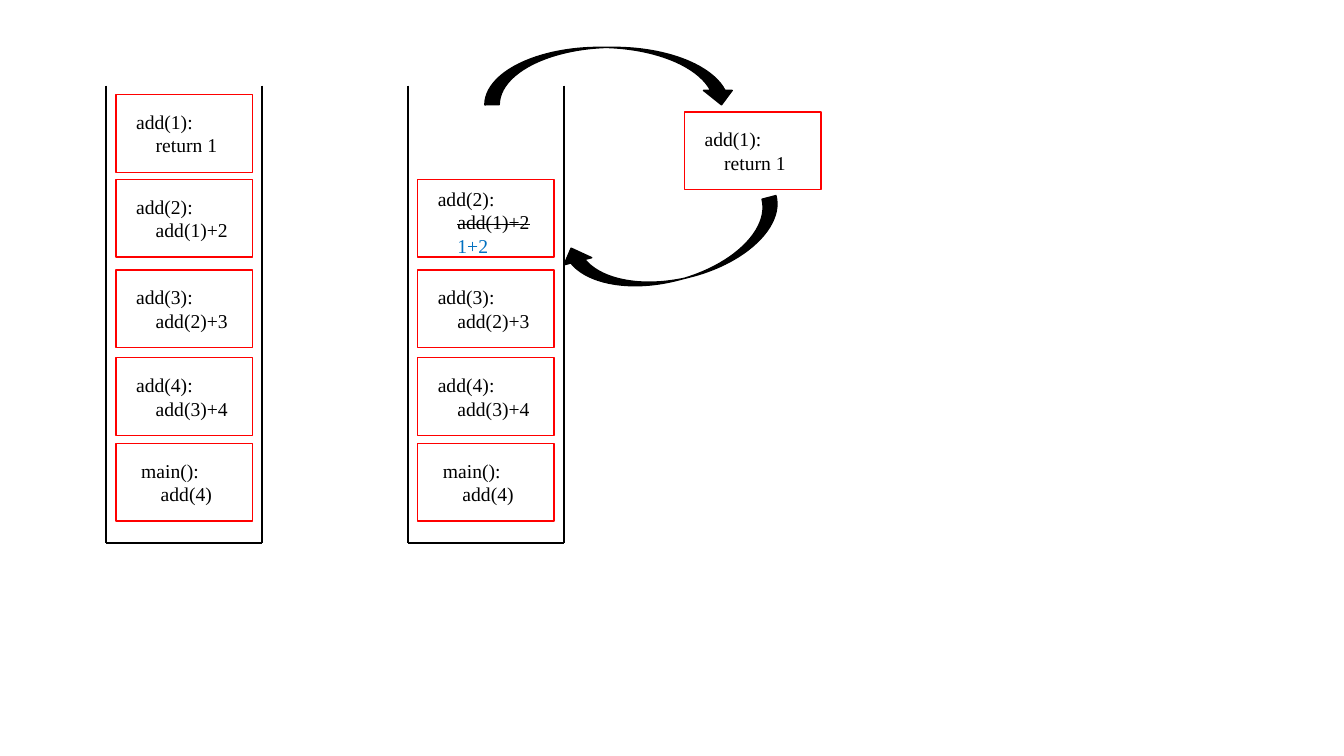
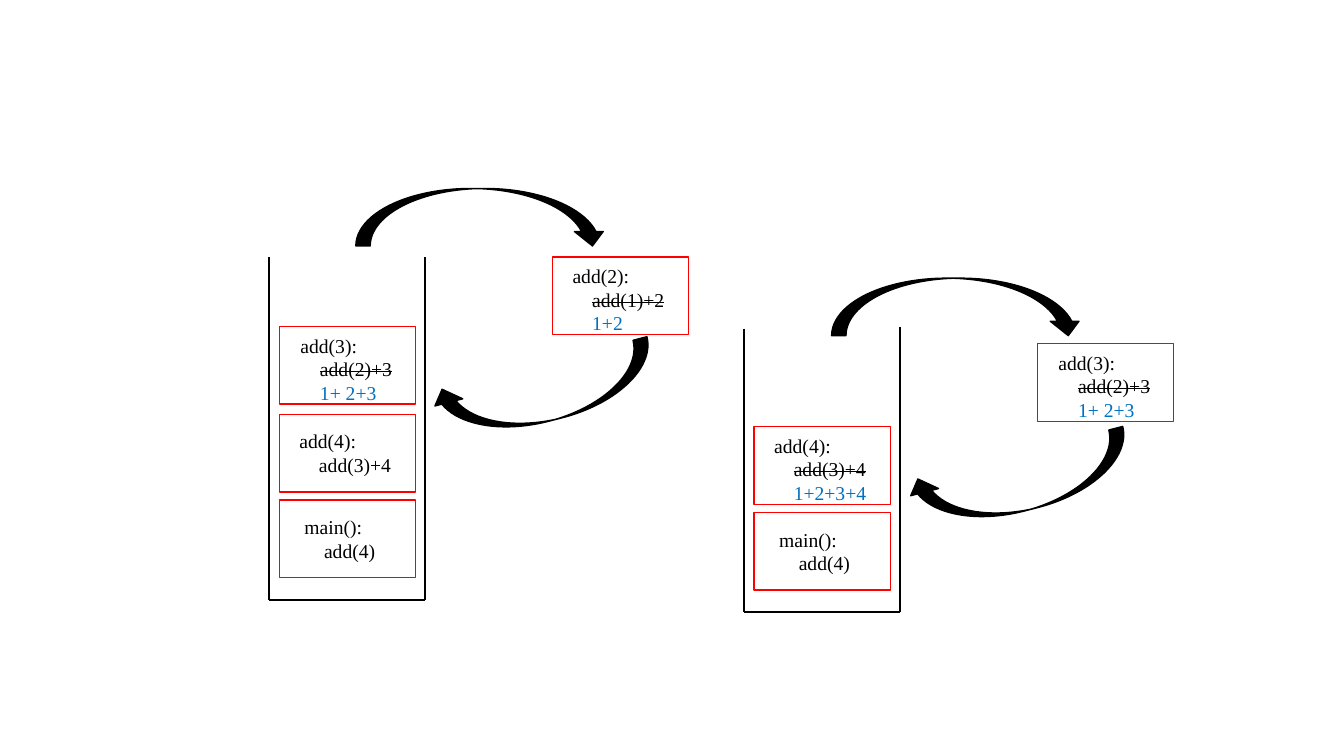
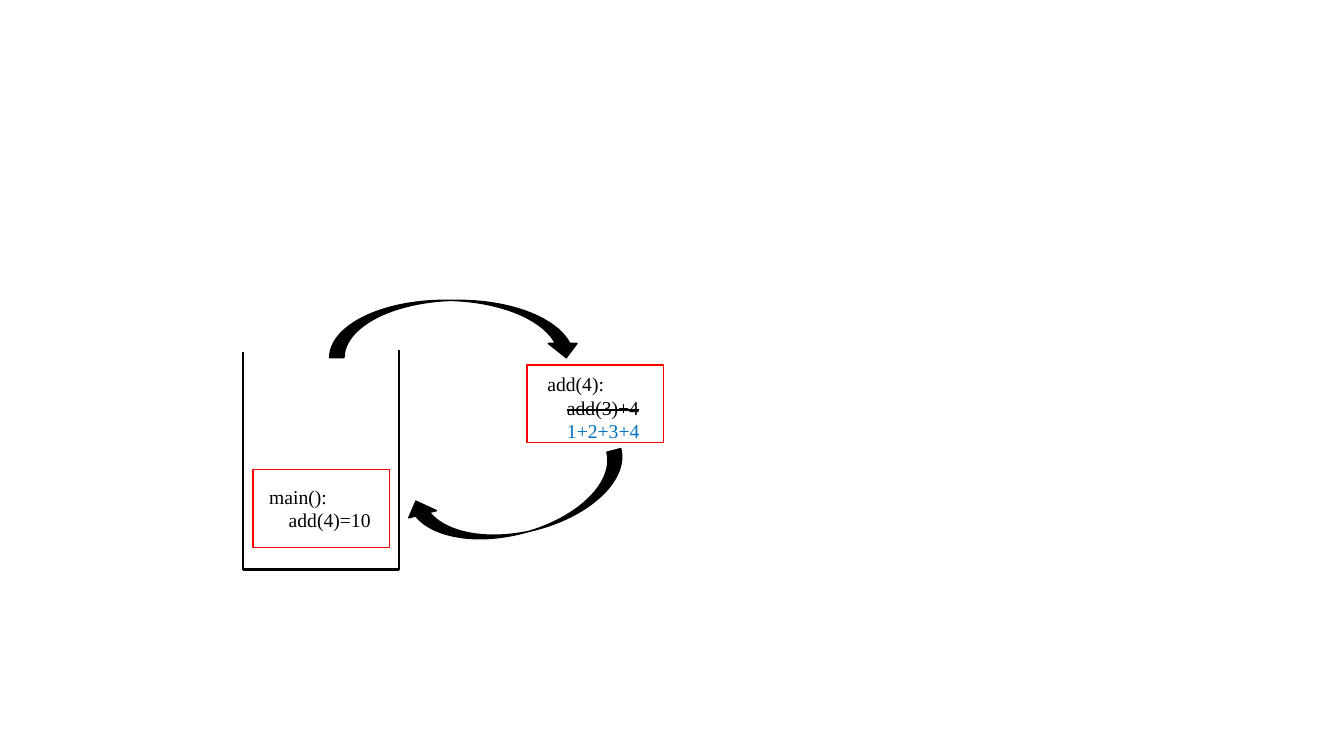
from lxml import etree
from pptx import Presentation
from pptx import util as u
from pptx.dml.color import RGBColor
from pptx.enum import shapes, text
from pptx.oxml.ns import qn

COLOURS = {"ink": "000000", "frame": "FF0000", "value": "0070C0"}
FONT, FONT_SIZE = "Times New Roman", 14

# The slide is a grid of 40 columns by 22.5 rows of square cells
SLIDE_W, SLIDE_H = u.Inches(13.333), u.Inches(7.5)
CELL = SLIDE_H / 22.5

# Sizes in cells
STACK_W, STACK_PAD = 4.65, 0.3
FRAME_W, FRAME_H = 4.06, 2.31
LEVELS = (2.97, 5.52, 8.13, 10.83, 13.35)  # frame tops above the stack floor
ARROW_H, POP_W, RETURN_W = 1.71, 7.47, 6.72
RETURN_DX, RETURN_DY, RETURN_TURN = 2.26, 5.22, 165.6

# Calls: name, body and, once the inner call has returned, the value
MAIN = ("main():", "add(4)", None)
MAIN_DONE = ("main():", "add(4)=10", None)
ADD_1 = ("add(1):", "return 1", None)
ADD_2 = ("add(2):", "add(1)+2", None)
ADD_3 = ("add(3):", "add(2)+3", None)
ADD_4 = ("add(4):", "add(3)+4", None)
ADD_2_DONE = ("add(2):", "add(1)+2", "1+2")
ADD_3_DONE = ("add(3):", "add(2)+3", "1+ 2+3")
ADD_4_DONE = ("add(4):", "add(3)+4", "1+2+3+4")
TEXT_LEFT = {MAIN: 0.75, MAIN_DONE: 0.48, ADD_3_DONE: 0.63}  # otherwise 0.6


def cells(*counts):
    return [u.Emu(round(n * CELL)) for n in counts]


def colour(name):
    return RGBColor.from_string(COLOURS[name])


def add_run(paragraph, words, ink="ink", struck=False):
    run = paragraph.add_run()
    run.text = words
    run.font.name, run.font.size = FONT, u.Pt(FONT_SIZE)
    run.font.color.rgb = colour(ink)
    if struck:
        run.font._element.set("strike", "sngStrike")


def add_outlined(slide, preset, left, top, width, height, line):
    shape = slide.shapes.add_shape(preset, *cells(left, top, width, height))
    shape.shadow.inherit = False
    shape.line.color.rgb = colour(line)
    shape.line.width = u.Pt(1)
    return shape


def add_frame(slide, left, top, call):
    """A call frame, with its old body struck out when a value replaces it."""
    name, body, value = call
    frame = add_outlined(slide, shapes.MSO_SHAPE.RECTANGLE,
                         left, top, FRAME_W, FRAME_H, "frame")
    frame.fill.background()
    code = frame.text_frame
    code.word_wrap = True
    code.vertical_anchor = text.MSO_ANCHOR.TOP
    code.margin_left, code.margin_top, code.margin_right, code.margin_bottom = cells(
        TEXT_LEFT.get(call, 0.6), 0.21 if value else 0.45, 0, 0)

    add_run(code.paragraphs[0], name)
    code.paragraphs[0].alignment = text.PP_ALIGN.LEFT
    inner = [(body, "ink", bool(value))]
    if value:
        inner.append((value, "value", False))
    for words, ink, struck in inner:
        line = code.add_paragraph()
        line.alignment = text.PP_ALIGN.LEFT
        line._p.get_or_add_pPr().set("marL", str(u.Pt(FONT_SIZE)))
        add_run(line, words, ink, struck)


def add_wall(slide, *ends):
    wall = slide.shapes.add_connector(shapes.MSO_CONNECTOR.STRAIGHT, *cells(*ends))
    wall.line.color.rgb = colour("ink")
    wall.line.width = u.Pt(1.5)
    etree.SubElement(wall._element.spPr, qn("a:effectLst"))


def add_stack(slide, left, rim, floor, calls, right_rim=None):
    """An open-topped stack holding the calls, lowest first."""
    right = left + STACK_W
    add_wall(slide, left, rim, left, floor)
    add_wall(slide, left, floor, right, floor)
    add_wall(slide, right, right_rim or rim, right, floor)
    for level, call in zip(LEVELS, calls):
        add_frame(slide, left + STACK_PAD, floor - level, call)


def add_arrow(slide, left, top, width, turn=0):
    arrow = add_outlined(slide, shapes.MSO_SHAPE.CURVED_DOWN_ARROW,
                         left, top, width, ARROW_H, "ink")
    arrow.fill.solid()
    arrow.fill.fore_color.rgb = colour("ink")
    arrow.rotation = turn


def add_pop(slide, arrow_at, frame_at, call):
    """The popped frame, with the arrows out to it and back to the stack."""
    left, top = arrow_at
    add_frame(slide, *frame_at, call)
    add_arrow(slide, left, top, POP_W)
    add_arrow(slide, left + RETURN_DX, top + RETURN_DY, RETURN_W, RETURN_TURN)


def main():
    deck = Presentation()
    deck.slide_width, deck.slide_height = SLIDE_W, SLIDE_H
    blank = deck.slide_layouts[6]

    # Full stack, then add(1) returns
    slide = deck.slides.add_slide(blank)
    add_stack(slide, 3.15, 2.55, 16.17, [MAIN, ADD_4, ADD_3, ADD_2, ADD_1])
    add_stack(slide, 12.13, 2.55, 16.17, [MAIN, ADD_4, ADD_3, ADD_2_DONE])
    add_pop(slide, (14.43, 1.41), (20.37, 3.33), ADD_1)

    # add(2) returns, then add(3)
    slide = deck.slides.add_slide(blank)
    add_stack(slide, 8.01, 7.65, 17.85, [MAIN, ADD_4, ADD_3_DONE])
    add_pop(slide, (10.59, 5.61), (16.44, 7.65), ADD_2_DONE)
    add_stack(slide, 22.14, 9.78, 18.22, [MAIN, ADD_4_DONE], right_rim=9.72)
    add_pop(slide, (24.75, 8.28), (30.87, 10.23), ADD_3_DONE)

    # add(4) returns to main
    slide = deck.slides.add_slide(blank)
    add_stack(slide, 7.23, 10.47, 16.95, [MAIN_DONE], right_rim=10.41)
    add_pop(slide, (9.81, 8.94), (15.69, 10.86), ADD_4_DONE)

    deck.save("out.pptx")


if __name__ == "__main__":
    main()
